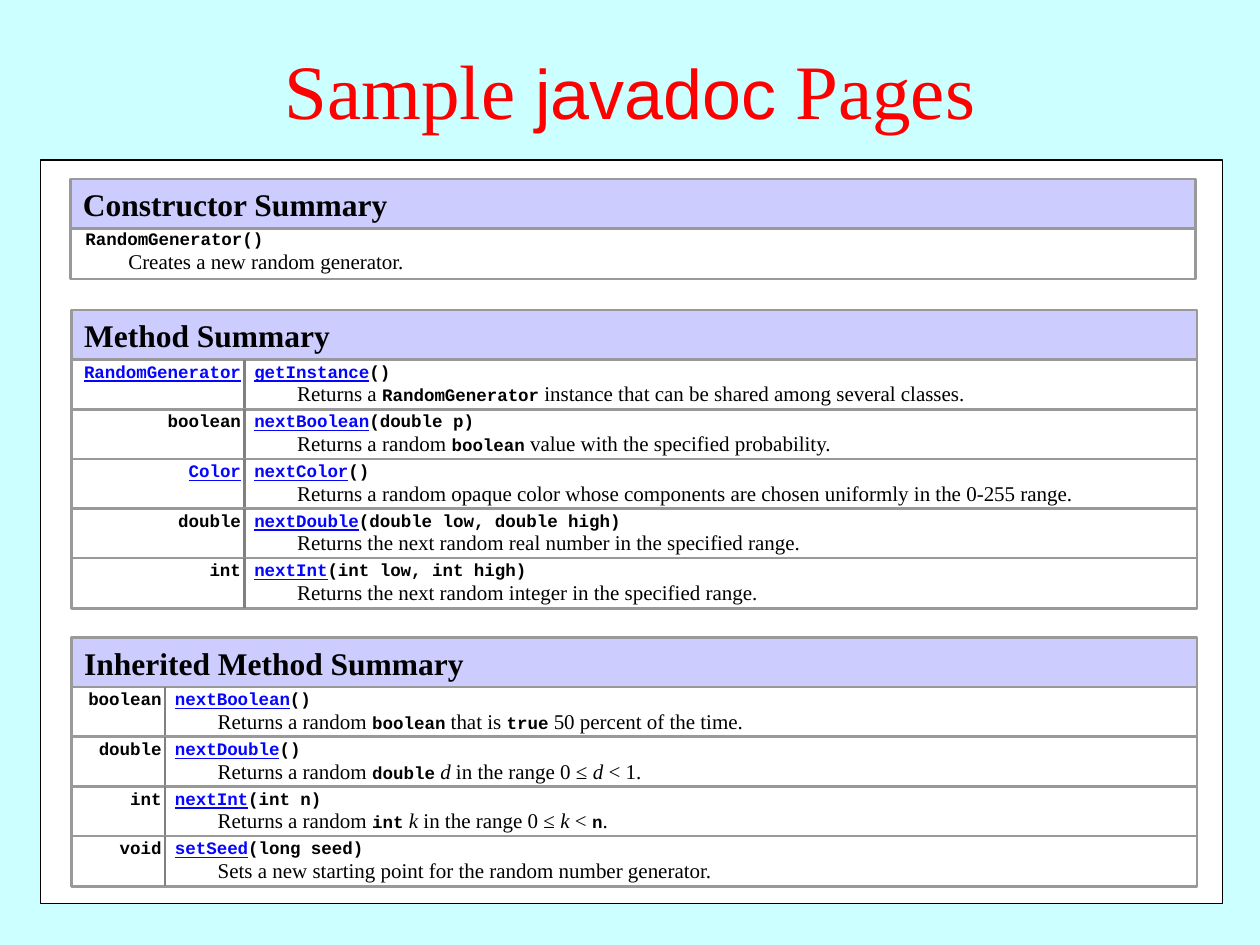
from pptx import Presentation
from pptx.dml.color import RGBColor as RGB
from pptx.enum.shapes import MSO_CONNECTOR as Conn, MSO_SHAPE as Shape
from pptx.enum.text import MSO_ANCHOR as Anchor, MSO_AUTO_SIZE as Fit, PP_ALIGN as Align
from pptx.oxml.ns import qn
from pptx.util import Inches, Pt

COLORS = {
    "back": "CCFFFF", "title": "FF0000", "page": "FFFFFF", "head": "CCCCFF",
    "edge": "999999", "rule": "808080", "text": "000000", "link": "0404FF",
}
SERIF, SANS, MONO = "Times New Roman", "Arial", "Courier New"
LEFT, WIDTH, HIGH = 0.57, 8.93, 0.4
PITCH = 1.97 / 5
LINKED = {"RandomGenerator", "Color"}

# Each row: return type, name, arguments, description (`code`, *italic*)
METHODS = [
    ("RandomGenerator", "getInstance", "()",
     "Returns a `RandomGenerator` instance that can be shared among several classes."),
    ("boolean", "nextBoolean", "(double p)",
     "Returns a random `boolean` value with the specified probability."),
    ("Color", "nextColor", "()",
     "Returns a random opaque color whose components are chosen uniformly in the 0-255 range."),
    ("double", "nextDouble", "(double low, double high)",
     "Returns the next random real number in the specified range."),
    ("int", "nextInt", "(int low, int high)",
     "Returns the next random integer in the specified range."),
]
INHERITED = [
    ("boolean", "nextBoolean", "()",
     "Returns a random `boolean` that is `true` 50 percent of the time."),
    ("double", "nextDouble", "()",
     "Returns a random `double` *d* in the range 0 ≤ *d* < 1."),
    ("int", "nextInt", "(int n)",
     "Returns a random `int` *k* in the range 0 ≤ *k* < `n`."),
    ("void", "setSeed", "(long seed)",
     "Sets a new starting point for the random number generator."),
]


def color(key):
    return RGB.from_string(COLORS[key])


def add_run(para, text, face, size, key="text", bold=False, italic=False, under=False):
    run = para.add_run()
    run.text = text
    font = run.font
    font.name, font.size = face, Pt(size)
    font.bold, font.italic, font.underline = bold, italic, under
    font.color.rgb = color(key)


def add_code(para, text, link=False):
    add_run(para, text, MONO, 10, "link" if link else "text", bold=True, under=link)


def add_prose(para, text):
    """Write a description, with `code` and *italic* marks turned into runs."""
    for i, part in enumerate(text.split("`")):
        if i % 2:
            add_code(para, part)
            continue
        for j, piece in enumerate(part.split("*")):
            if piece:
                add_run(para, piece, SERIF, 12, italic=j % 2 == 1)


def add_rect(shapes, x, y, w, h, fill, edge="edge", weight=1.5):
    rect = shapes.add_shape(Shape.RECTANGLE, Inches(x), Inches(y), Inches(w), Inches(h))
    rect.shadow.inherit = False
    rect.fill.solid()
    rect.fill.fore_color.rgb = color(fill)
    rect.line.color.rgb = color(edge)
    rect.line.width = Pt(weight)
    return rect


def add_rule(shapes, x, y):
    """Draw the divider between a row's type and its method."""
    rule = shapes.add_connector(
        Conn.STRAIGHT, Inches(x), Inches(y + PITCH), Inches(x), Inches(y))
    rule.line.color.rgb = color("rule")
    rule.line.width = Pt(1.5)
    props = rule._element.spPr
    props.append(props.makeelement(qn("a:effectLst"), {}))


def add_text(shapes, x, y, w, h, align=Align.LEFT):
    """Add a wrapping text box and return its first paragraph."""
    box = shapes.add_textbox(Inches(x), Inches(y), Inches(w), Inches(h))
    frame = box.text_frame
    frame.word_wrap = True
    frame.auto_size = Fit.SHAPE_TO_FIT_TEXT
    para = frame.paragraphs[0]
    para.alignment = align
    return para


def add_title(shapes):
    box = shapes.add_textbox(Inches(0), Inches(0.08), Inches(10), Inches(1.25))
    frame = box.text_frame
    frame.word_wrap = True
    frame.vertical_anchor = Anchor.MIDDLE
    para = frame.paragraphs[0]
    para.alignment = Align.CENTER
    for text, face, size in (("Sample ", SERIF, 44), ("javadoc", SANS, 40),
                             (" Pages", SERIF, 44)):
        add_run(para, text, face, size, "title")


def add_head(shapes, x, y, text):
    frame = add_rect(shapes, x, y, WIDTH, HIGH, "head").text_frame
    frame.word_wrap = False
    frame.vertical_anchor = Anchor.MIDDLE
    para = frame.paragraphs[0]
    para.alignment = Align.LEFT
    add_run(para, text, SERIF, 18, bold=True)


def add_entry(shapes, x, y, name, args, prose, link=True):
    """Write a signature with its description below."""
    para = add_text(shapes, x, y - 0.04, 7.51, 0.27)
    if link:
        add_code(para, name, True)
        add_code(para, args)
    else:
        add_code(para, name + args)
    add_prose(add_text(shapes, x + 0.34, y + 0.12, 7.17, 0.3), prose)


def add_table_part(shapes, y, head, rows, split, wide):
    """Stack a heading and its rows; split is the divider, wide the type box."""
    add_head(shapes, LEFT, y, head)
    for i, (kind, name, args, prose) in enumerate(rows, 1):
        top = y + i * PITCH
        row = shapes.add_group_shape().shapes
        add_rect(row, LEFT, top, WIDTH, HIGH, "page")
        add_rule(row, split, top)
        para = add_text(row, split + 0.07 - wide, top - 0.04, wide, 0.27, Align.RIGHT)
        add_code(para, kind, kind in LINKED)
        add_entry(row, split - 0.02, top, name, args, prose)


def add_maker(shapes):
    """Add the constructor section, which has no type column."""
    x, y = 0.56, 1.42
    add_head(shapes, x, y, "Constructor Summary")
    row = shapes.add_group_shape().shapes
    add_rect(row, x, y + PITCH, WIDTH, HIGH, "page")
    add_entry(row, 0.58, y + PITCH - 0.01, "RandomGenerator", "()",
              "Creates a new random generator.", link=False)


def main():
    deck = Presentation()
    deck.slide_width, deck.slide_height = Inches(10), Inches(7.5)
    slide = deck.slides.add_slide(deck.slide_layouts[6])
    back = slide.background.fill
    back.solid()
    back.fore_color.rgb = color("back")
    shapes = slide.shapes
    add_title(shapes)
    add_rect(shapes, 0.32, 1.27, 9.38, 5.9, "page", "text", 0.75)
    add_maker(shapes)
    add_table_part(shapes, 2.46, "Method Summary", METHODS, 1.94, 1.49)
    add_table_part(shapes, 5.06, "Inherited Method Summary", INHERITED, 1.31, 0.84)
    deck.save("out.pptx")


if __name__ == "__main__":
    main()
